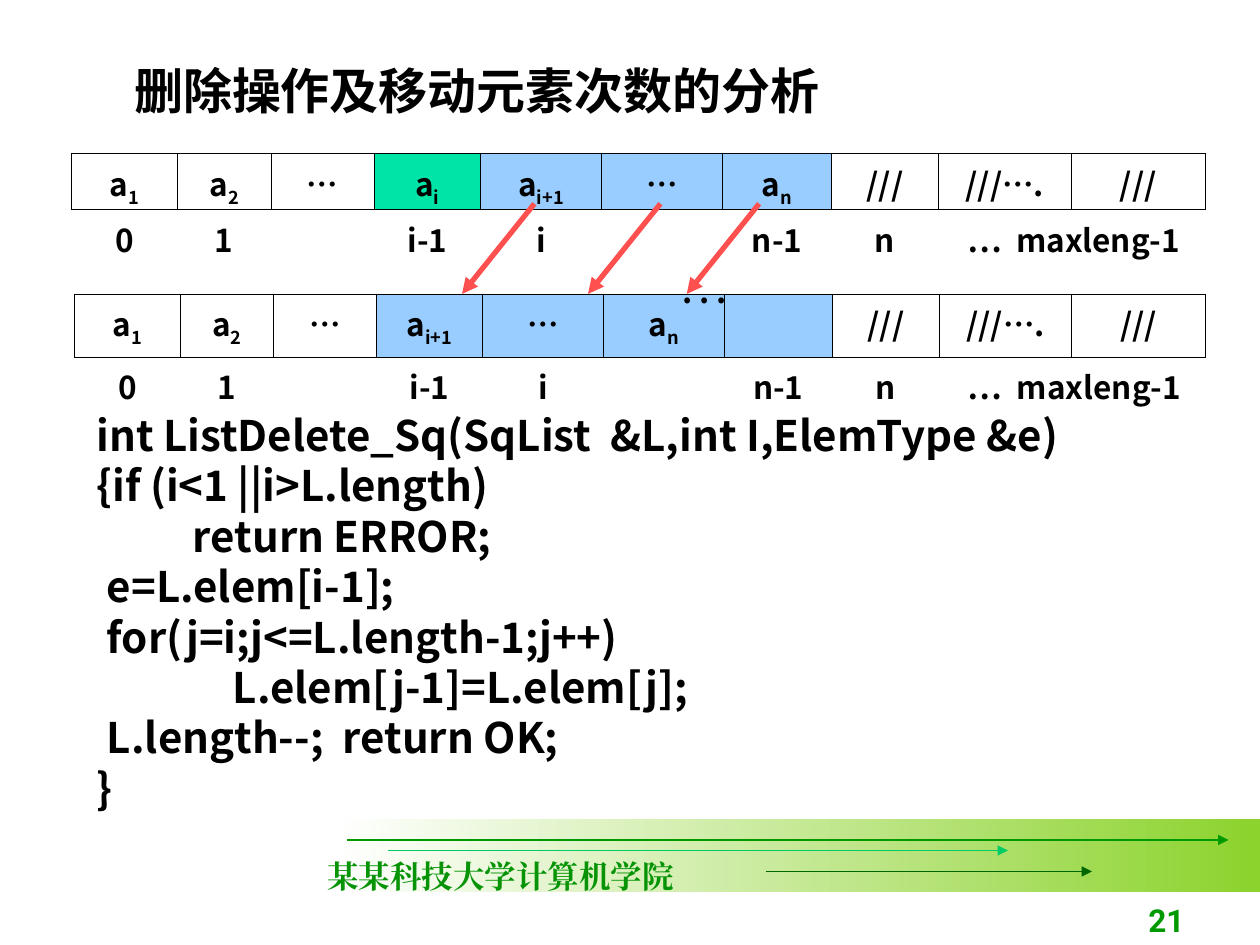
from dataclasses import dataclass

import lxml.etree
import pptx
import pptx.dml.color
import pptx.enum.dml
import pptx.enum.shapes
import pptx.enum.text
import pptx.oxml.ns
import pptx.util

COLUMNS, ROWS = 120, 90  # layout grid over the whole slide
FONT = "Noto Sans CJK SC"
BLACK, WHITE, BLUE, GREEN, RED = "000000", "FFFFFF", "99CCFF", "00E4A8", "FF5050"
ALIGN = pptx.enum.text.PP_ALIGN
ANCHOR = pptx.enum.text.MSO_ANCHOR

presentation = pptx.Presentation()
presentation.slide_width = pptx.util.Inches(10)
presentation.slide_height = pptx.util.Inches(7.5)
slide = presentation.slides.add_slide(presentation.slide_layouts[6])


@dataclass(frozen=True)
class Line:
    text: str
    indent: float = 0  # grid columns


@dataclass(frozen=True)
class Arrow:
    start: tuple[float, float]
    end: tuple[float, float]
    color: str
    width: float = 0.75


@dataclass(frozen=True)
class ArrayTable:
    left: float
    top: float
    width: float
    heights: tuple[float, float]
    values: tuple[str, ...]
    fills: dict[int, str]


def across(columns: float) -> int:
    return round(presentation.slide_width * columns / COLUMNS)


def down(rows: float) -> int:
    return round(presentation.slide_height * rows / ROWS)


def rgb(color: str) -> pptx.dml.color.RGBColor:
    return pptx.dml.color.RGBColor.from_string(color)


def add_child(parent, tag: str, **attributes: str):
    return lxml.etree.SubElement(parent, pptx.oxml.ns.qn(tag), attributes)


def write(frame, *lines: Line, size: float = 18, color: str = BLACK, font: str = FONT,
          align=ALIGN.LEFT, before: float = 0, subscripts: bool = False) -> None:
    """Fill a text frame; with subscripts, the part after "_" is lowered."""
    for number, line in enumerate(lines):
        paragraph = frame.add_paragraph() if number else frame.paragraphs[0]
        paragraph.alignment = align
        paragraph.space_before = pptx.util.Pt(before)
        properties = paragraph._p.get_or_add_pPr()
        properties.set("marL", str(across(line.indent)))
        properties.set("indent", "0")
        parts = line.text.split("_") if subscripts else [line.text]
        for position, part in enumerate(parts):
            run = paragraph.add_run()
            run.text = part
            run.font.size = pptx.util.Pt(size)
            run.font.bold = True
            run.font.name = font
            run.font.color.rgb = rgb(color)
            run_properties = run._r.get_or_add_rPr()
            add_child(run_properties, "a:ea", typeface=font)
            if position:
                run_properties.set("baseline", "-25000")


def add_text(left: float, top: float, width: float, height: float, *lines: Line,
             wrap: bool = True, anchor=ANCHOR.TOP, **text_format) -> None:
    shape = slide.shapes.add_textbox(across(left), down(top), across(width), down(height))
    shape.text_frame.word_wrap = wrap
    shape.text_frame.vertical_anchor = anchor
    write(shape.text_frame, *lines, **text_format)


def add_arrow(arrow: Arrow) -> None:
    connector = slide.shapes.add_connector(
        pptx.enum.shapes.MSO_CONNECTOR.STRAIGHT,
        across(arrow.start[0]), down(arrow.start[1]), across(arrow.end[0]), down(arrow.end[1]))
    connector.line.color.rgb = rgb(arrow.color)
    connector.line.width = pptx.util.Pt(arrow.width)
    add_child(connector.line._get_or_add_ln(), "a:tailEnd", type="triangle")
    add_child(connector._element.spPr, "a:effectLst")


def set_borders(cell, sides: str) -> None:
    """Draw the named sides (L, R, T, B) and clear the others."""
    properties = cell._tc.get_or_add_tcPr()
    for index, side in enumerate("LRTB"):
        border = lxml.etree.Element(pptx.oxml.ns.qn(f"a:ln{side}"), w="5715")
        if side in sides:
            add_child(add_child(border, "a:solidFill"), "a:srgbClr", val=BLACK)
        else:
            add_child(border, "a:noFill")
        properties.insert(index, border)


COLUMN_WIDTHS = (0.84, 0.74, 0.82, 0.84, 0.96, 0.96, 0.86, 0.85, 1.05, 1.06)
INDICES = ("0", "1", "", "i-1", "i", "", "n-1", "n", "…  maxleng-1", "")


def add_array(array: ArrayTable) -> None:
    table = slide.shapes.add_table(
        2, len(COLUMN_WIDTHS), across(array.left), down(array.top),
        across(array.width), down(sum(array.heights))).table
    table.first_row = table.horz_banding = False
    for column, share in zip(table.columns, COLUMN_WIDTHS):
        column.width = across(array.width * share / sum(COLUMN_WIDTHS))
    for row, height in zip(table.rows, array.heights):
        row.height = down(height)
    table.cell(1, 8).merge(table.cell(1, 9))
    for row, texts in enumerate((array.values, INDICES)):
        for column, text in enumerate(texts):
            cell = table.cell(row, column)
            if row == 0 and column in array.fills:
                cell.fill.solid()
                cell.fill.fore_color.rgb = rgb(array.fills[column])
            else:
                cell.fill.background()
            set_borders(cell, "T" if row else "LRTB")
            if cell.is_spanned:
                continue
            merged = cell.is_merge_origin
            write(cell.text_frame, Line(text, 1.5 if merged else 0), before=4.5,
                  align=ALIGN.LEFT if merged else ALIGN.CENTER, subscripts=True)


# Footer band with its arrows, school name and page number
band = slide.shapes.add_shape(pptx.enum.shapes.MSO_SHAPE.RECTANGLE,
                              across(32), down(78), across(88), down(7))
band.shadow.inherit = False
band.line.fill.background()
band.fill.gradient()
band.fill.gradient_angle = 0
for stop, position, color in zip(band.fill.gradient_stops, (0, 1), (WHITE, "8CD32D")):
    stop.position = position
    stop.color.rgb = rgb(color)
for footer_arrow in (Arrow((33, 80), (117, 80), "009900"),
                     Arrow((37, 81), (96, 81), "00CC66"),
                     Arrow((73, 83), (104, 83), "006600")):
    add_arrow(footer_arrow)
add_text(30, 81, 35.4, 4.8, Line("某某科技大学计算机学院"), wrap=False,
         color="069406", font="Times New Roman")
add_text(89, 84, 25, 6, Line("21"), anchor=ANCHOR.BOTTOM, align=ALIGN.RIGHT,
         color="009900", font="Roboto")

# Deletion routine
add_text(8, 38.4, 111.5, 46.9,
         Line("int ListDelete_Sq(SqList  &L,int I,ElemType &e)"),
         Line("{if (i<1 ||i>L.length)"),
         Line("return ERROR;", 9.2),
         Line("e=L.elem[i-1];", 1),
         Line("for(j=i;j<=L.length-1;j++)", 1),
         Line("L.elem[j-1]=L.elem[j];", 13),
         Line("L.length--;  return OK;", 1),
         Line("}"), size=24)

# The list before and after the deletion
unused = ("///", "///….", "///")
white_tail = {8: WHITE, 9: WHITE}
add_array(ArrayTable(6.8, 14.65, 108, (5.3, 4.8),
                     ("a_1", "a_2", "…", "a_i", "a_i+1", "…", "a_n", *unused),
                     {3: GREEN, 4: BLUE, 5: BLUE, 6: BLUE, 7: WHITE, **white_tail}))
add_array(ArrayTable(7.1, 28, 107.7, (6, 4.8),
                     ("a_1", "a_2", "…", "a_i+1", "…", "a_n", "", *unused),
                     {column: BLUE for column in range(3, 7)} | white_tail))

# Elements moving one place forward
for start in (50.9, 62.9, 72.3):
    add_arrow(Arrow((start, 19.4), (start - 6.9, 28), RED, 3))
add_text(63.8, 25.3, 10.8, 4.8, Line(". . ."), before=11.2)

# Title
add_text(3.2, 5.2, 95.4, 6.8, Line("删除操作及移动元素次数的分析", 8.4), size=28, before=17.5)

presentation.save("out.pptx")
